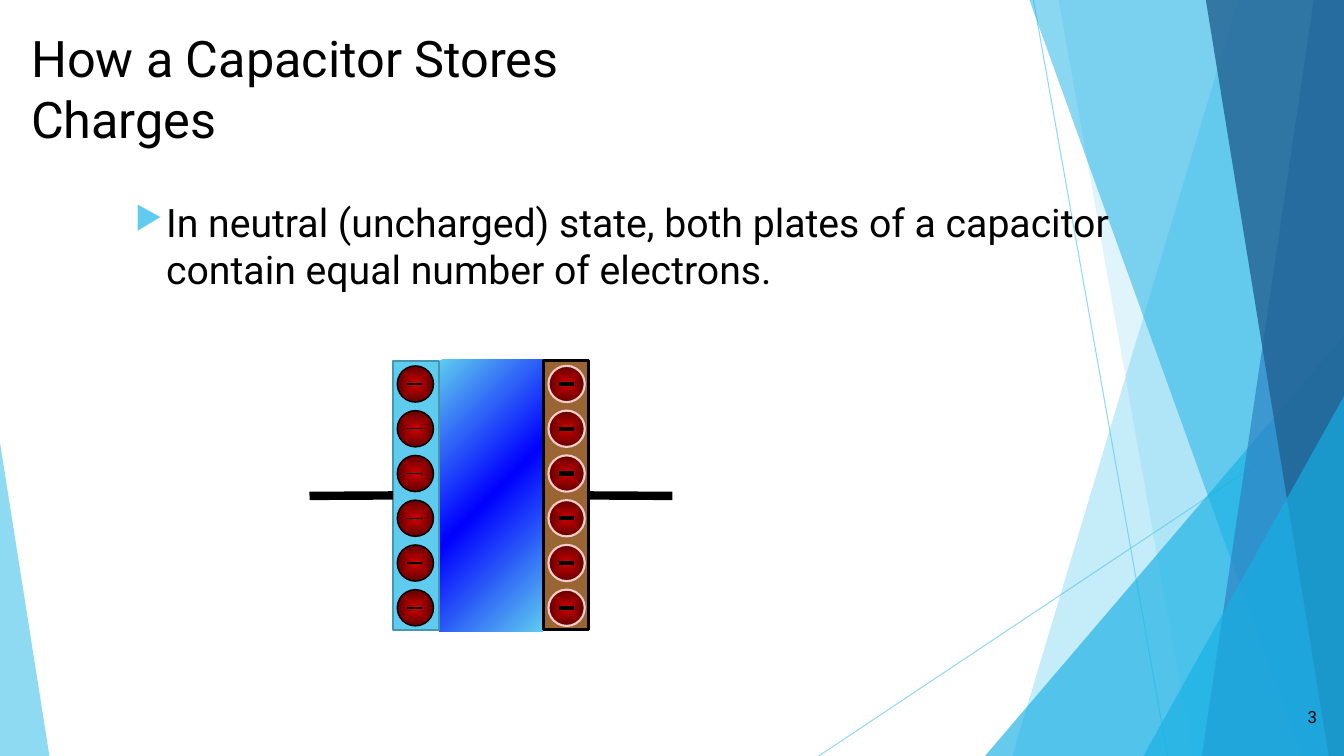
"""Build the slide on how a capacitor stores charges."""
from typing import NamedTuple, Optional

from lxml.etree import SubElement
from pptx import Presentation
from pptx.dml.color import RGBColor
from pptx.enum.shapes import MSO_CONNECTOR, MSO_SHAPE
from pptx.enum.text import MSO_ANCHOR, PP_ALIGN
from pptx.oxml.ns import qn
from pptx.util import Inches, Pt

SKY = RGBColor(0x5F, 0xCB, 0xEF)
CYAN = RGBColor(0x17, 0xB0, 0xE4)
MID_BLUE = RGBColor(0x2E, 0x83, 0xC3)
NAVY = RGBColor(0x22, 0x62, 0x92)
TEAL = RGBColor(0x46, 0x96, 0xB1)
ROYAL = RGBColor(0x30, 0x66, 0xF7)
BLUE = RGBColor(0x00, 0x00, 0xFF)
BROWN = RGBColor(0x99, 0x66, 0x33)
RED = RGBColor(0xCC, 0x00, 0x00)
DARK_RED = RGBColor(0x5E, 0x00, 0x00)
PINK = RGBColor(0xFF, 0xCC, 0xCC)
BLACK = RGBColor(0x00, 0x00, 0x00)

WIDTH, HEIGHT = 13.33, 7.5
WIRE_Y = 4.92
ELECTRON_COUNT, ELECTRON_TOP, ELECTRON_STEP, ELECTRON_SIZE = 6, 3.63, 0.444, 0.36


class Ray(NamedTuple):
    start: tuple
    end: tuple


class Band(NamedTuple):
    top_left: float
    bottom_left: float
    color: RGBColor
    opacity: int


class Wedge(NamedTuple):
    box: tuple
    apex: int
    color: RGBColor
    opacity: int


class Plate(NamedTuple):
    left: float
    fill: RGBColor
    edge: RGBColor
    edge_width: float
    electron_left: float
    electron_edge: RGBColor
    electron_edge_width: float
    sign_width: float
    wire_end: float
    side: int


class Label(NamedTuple):
    text: str
    box: tuple
    size: int
    frame: dict
    align: Optional[PP_ALIGN] = None
    bullet: bool = False


RAYS = [Ray((10.25, 0), (11.58, 7.5)), Ray((13.33, 4.03), (8.12, 7.5))]
BACKDROP = [
    Band(12.28, 10.04, SKY, 36),
    Band(10.5, 11.83, SKY, 20),
    Wedge((9.77, 3.33, 3.56, 4.17), 1, CYAN, 66),
    Band(10.21, 12.91, CYAN, 50),
    Band(13.03, 11.92, MID_BLUE, 70),
    Band(11.96, 13.18, NAVY, 80),
    Wedge((11.34, 3.93, 1.99, 3.57), 1, CYAN, 66),
    Wedge((0, 4.39, 0.49, 3.11), 0, SKY, 70),
]
PLATES = [
    Plate(5.39, BROWN, BLACK, 2.25, 5.44, PINK, 1.5, 3, 6.67, 3),
    Plate(3.9, SKY, TEAL, 1.5, 3.94, BLACK, 1, 1, 3.07, 1),
]
LABELS = [
    Label("In neutral (uncharged) state, both plates of a capacitor "
          "contain equal number of electrons.", (0.74, 1.15, 10.38, 5.09), 28,
          {"margin_top": Inches(0.82), "margin_right": Inches(0.05)}, bullet=True),
    Label("How a Capacitor Stores Charges", (0.21, 0.22, 7.39, 0.71), 36,
          {"margin_right": Inches(0.5)}),
    Label("3", (12.41, 6.91, 0.75, 0.4), 12,
          {"vertical_anchor": MSO_ANCHOR.MIDDLE}, PP_ALIGN.RIGHT),
]


def set_opacity(properties, percent: int) -> None:
    """Add an opacity to the first solid colour below the properties."""
    color = next(properties.iter(qn("a:srgbClr")))
    SubElement(color, qn("a:alpha"), val=str(percent * 1000))


def style(shape, fill: Optional[RGBColor], edge: Optional[RGBColor] = None,
          edge_width: float = 0) -> None:
    """Give a shape its fill and outline and no shadow."""
    shape.shadow.inherit = False
    if fill is not None:
        shape.fill.solid()
        shape.fill.fore_color.rgb = fill
    if edge is None:
        shape.line.fill.background()
    else:
        shape.line.color.rgb = edge
        shape.line.width = Pt(edge_width)


def set_gradient(shape, stops: list, angle: Optional[int] = None) -> None:
    """Fill a shape with a linear gradient, or from its centre without an angle."""
    shape.fill.gradient()
    gradient = shape.fill._xPr.find(qn("a:gradFill"))
    for child in list(gradient):
        gradient.remove(child)
    stop_list = SubElement(gradient, qn("a:gsLst"))
    for position, color in stops:
        stop = SubElement(stop_list, qn("a:gs"), pos=str(position * 1000))
        SubElement(stop, qn("a:srgbClr"), val=str(color))
    if angle is None:
        center = SubElement(gradient, qn("a:path"))
        center.set("path", "shape")
        SubElement(center, qn("a:fillToRect"), dict.fromkeys("ltrb", "50000"))
    else:
        SubElement(gradient, qn("a:lin"), ang=str(angle * 60000), scaled="0")


def add_line(page, start: tuple, end: tuple, color: RGBColor, width: float):
    """Draw a straight line without shadow."""
    line = page.shapes.add_connector(
        MSO_CONNECTOR.STRAIGHT, *[Inches(value) for value in start + end])
    line.line.color.rgb = color
    line.line.width = Pt(width)
    SubElement(line._element.spPr, qn("a:effectLst"))
    return line


def add_preset(page, kind: MSO_SHAPE, box: tuple):
    """Add a preset shape at a box given in inches."""
    return page.shapes.add_shape(kind, *[Inches(value) for value in box])


def add_backdrop(page) -> None:
    """Draw the rays, bands and wedges at the edges."""
    for ray in RAYS:
        line = add_line(page, ray.start, ray.end, SKY, 0.75)
        set_opacity(line._element.spPr, 70)
    for item in BACKDROP:
        if isinstance(item, Band):
            corners = [(WIDTH, 0), (WIDTH, HEIGHT), (item.bottom_left, HEIGHT)]
            builder = page.shapes.build_freeform(Inches(item.top_left), 0)
            builder.add_line_segments([(Inches(x), Inches(y)) for x, y in corners])
            shape = builder.convert_to_shape()
        else:
            shape = add_preset(page, MSO_SHAPE.ISOSCELES_TRIANGLE, item.box)
            shape.adjustments[0] = item.apex
        style(shape, item.color)
        set_opacity(shape._element.spPr, item.opacity)


def add_plate(page, plate: Plate) -> None:
    """Draw a plate with its wire and electrons."""
    body = add_preset(page, MSO_SHAPE.RECTANGLE, (plate.left, 3.58, 0.45, 2.67))
    style(body, plate.fill, plate.edge, plate.edge_width)
    wire = add_line(page, (plate.wire_end, WIRE_Y), (plate.left, WIRE_Y), BLACK, 6)
    wire.end_connect(body, plate.side)
    for row in range(ELECTRON_COUNT):
        left, top = plate.electron_left, ELECTRON_TOP + row * ELECTRON_STEP
        electron = add_preset(page, MSO_SHAPE.OVAL,
                              (left, top, ELECTRON_SIZE, ELECTRON_SIZE))
        style(electron, None, plate.electron_edge, plate.electron_edge_width)
        set_gradient(electron, [(0, RED), (100, DARK_RED)])
        middle = top + ELECTRON_SIZE / 2
        add_line(page, (left + 0.1, middle), (left + 0.25, middle),
                 BLACK, plate.sign_width)


def add_label(page, label: Label) -> None:
    """Add a text box with one paragraph."""
    box = page.shapes.add_textbox(*[Inches(value) for value in label.box])
    for name, value in {"word_wrap": True, **label.frame}.items():
        setattr(box.text_frame, name, value)
    para = box.text_frame.paragraphs[0]
    para.alignment = label.align
    if label.bullet:
        properties = para._p.get_or_add_pPr()
        properties.set("marL", str(Inches(0.81)))
        properties.set("indent", str(Inches(-0.31)))
        SubElement(SubElement(properties, qn("a:buClr")), qn("a:srgbClr"), val=str(SKY))
        SubElement(properties, qn("a:buSzPct"), val="80000")
        SubElement(properties, qn("a:buChar"), char="▶")
    span = para.add_run()
    span.text = label.text
    for name, value in {"name": "Roboto", "size": Pt(label.size)}.items():
        setattr(span.font, name, value)
    span.font.color.rgb = BLACK


def main() -> None:
    """Build and save the deck."""
    deck = Presentation()
    deck.slide_width, deck.slide_height = Inches(WIDTH), Inches(HEIGHT)
    page = deck.slides.add_slide(deck.slide_layouts[6])
    add_backdrop(page)
    dielectric = add_preset(page, MSO_SHAPE.RECTANGLE, (4.36, 3.57, 1.02, 2.7))
    style(dielectric, None)
    set_gradient(dielectric, [(0, SKY), (25, ROYAL), (50, BLUE), (100, SKY)], 45)
    for plate in PLATES:
        add_plate(page, plate)
    for label in LABELS:
        add_label(page, label)
    deck.save("out.pptx")


if __name__ == "__main__":
    main()
